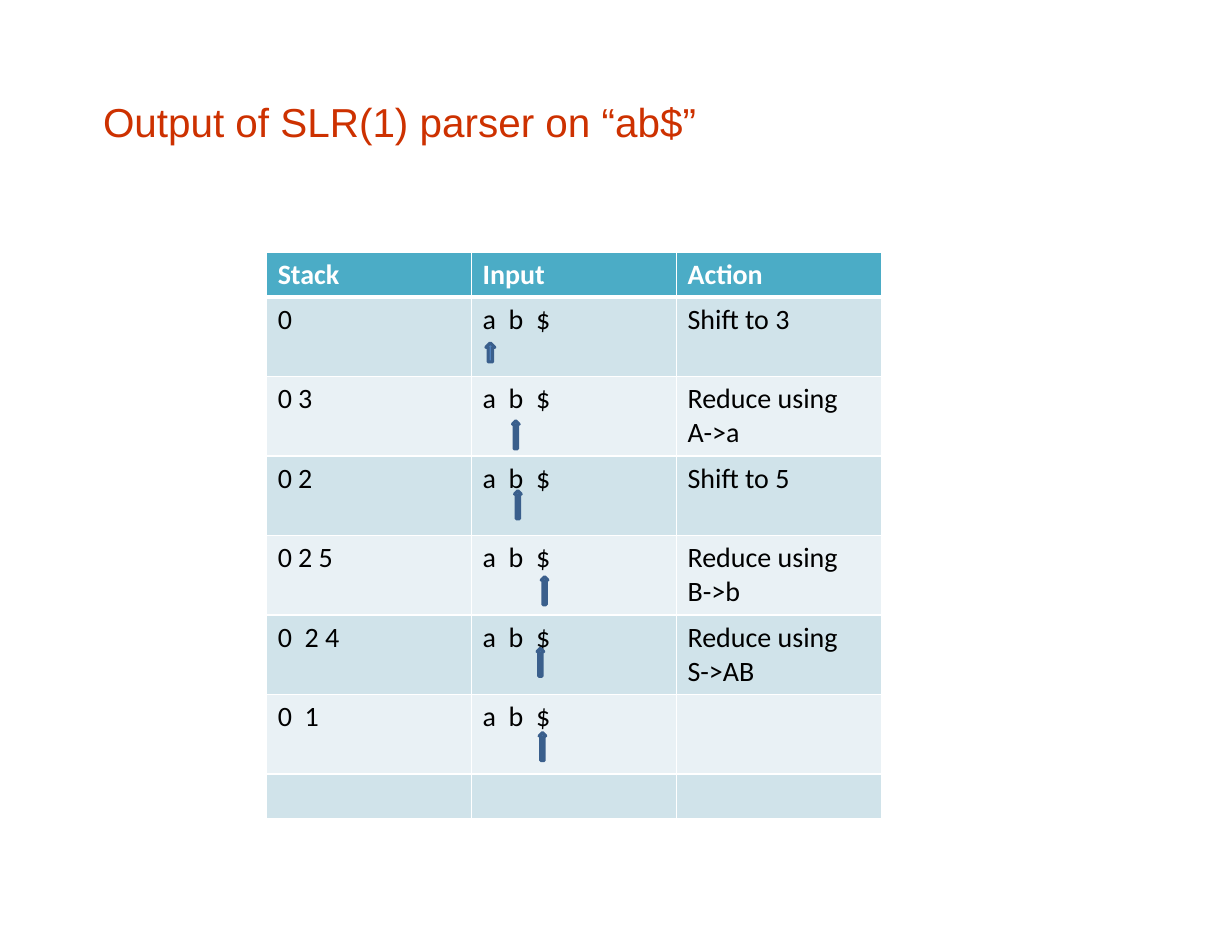
from lxml import etree
from pptx import Presentation, util as u
from pptx.dml.color import RGBColor
from pptx.enum import shapes, text
from pptx.oxml import ns

RED = RGBColor(0xCD, 0x31, 0x00)
TEAL = RGBColor(0x4B, 0xAC, 0xC6)
PALE = RGBColor(0xD0, 0xE3, 0xEA)
LIGHT = RGBColor(0xE9, 0xF1, 0xF5)
BLUE = RGBColor(0x4F, 0x81, 0xBD)
NAVY = RGBColor(0x3A, 0x5F, 0x8C)
WHITE = RGBColor(0xFF, 0xFF, 0xFF)
BLACK = RGBColor(0, 0, 0)

# Table grid: column width, height of a short and of a tall row
LEFT, TOP = u.Inches(2.38), u.Inches(2.25)
COL, LOW, TALL = u.Inches(1.83), u.Inches(0.4), u.Inches(0.71)

INPUT = "a  b  $"
ROWS = [
    ("Stack", "Input", "Action"),
    ("0", INPUT, "Shift to 3"),
    ("0 3", INPUT, "Reduce using \vA->a"),
    ("0 2", INPUT, "Shift to 5"),
    ("0 2 5", INPUT, "Reduce using \vB->b"),
    ("0  2 4", INPUT, "Reduce using\nS->AB"),
    ("0  1", INPUT, ""),
    ("", "", ""),
]
# Input pointer of each step, as shares of its cell's width and height
MARKS = [(0.07, 0.58), (0.2, 0.56), (0.21, 0.44),
         (0.34, 0.52), (0.32, 0.42), (0.33, 0.48)]


def style(frame, face, size, color, bold=False):
    for para in frame.paragraphs:
        for run in para.runs:
            font = run.font
            font.name, font.size, font.bold = face, u.Pt(size), bold
            font.color.rgb = color


def edge(cell, side, width):
    line = etree.SubElement(cell._tc.get_or_add_tcPr(), ns.qn("a:ln" + side),
                            w=str(u.Pt(width)))
    fill = etree.SubElement(line, ns.qn("a:solidFill"))
    etree.SubElement(fill, ns.qn("a:srgbClr"), val=str(WHITE))


deck = Presentation()
deck.slide_width, deck.slide_height = u.Inches(11), u.Inches(8.5)
slide = deck.slides.add_slide(deck.slide_layouts[6])

# Title
box = slide.shapes.add_textbox(u.Inches(0.92), u.Inches(0.86),
                               u.Inches(5.64), u.Inches(0.44))
frame = box.text_frame
frame.margin_left = frame.margin_right = 0
frame.margin_top = frame.margin_bottom = 0
frame.vertical_anchor = text.MSO_ANCHOR.MIDDLE
frame.text = "Output of SLR(1) parser on “ab$”"
style(frame, "Arial", 26, RED)

# Parse table
steps = len(MARKS)
table = slide.shapes.add_table(len(ROWS), 3, LEFT, TOP, 3 * COL,
                               2 * LOW + steps * TALL).table
for col in table.columns:
    col.width = COL
for r, words in enumerate(ROWS):
    head = r == 0
    table.rows[r].height = TALL if 1 <= r <= steps else LOW
    for c, word in enumerate(words):
        cell = table.cell(r, c)
        for side in "LRTB":
            thick = (head and side == "B") or (r == 1 and side == "T")
            edge(cell, side, 3 if thick else 1)
        cell.fill.solid()
        cell.fill.fore_color.rgb = TEAL if head else PALE if r % 2 else LIGHT
        cell.text_frame.text = word
        style(cell.text_frame, "Calibri", 18, WHITE if head else BLACK, head)

# Arrows under the current input symbol
for i, (x, y) in enumerate(MARKS):
    wide, high = (0.08, 0.17) if i == 0 else (0.06, 0.25)
    mark = slide.shapes.add_shape(
        shapes.MSO_SHAPE.UP_ARROW,
        int(LEFT + (1 + x) * COL), int(TOP + LOW + (i + y) * TALL),
        u.Inches(wide), u.Inches(high))
    mark.shadow.inherit = False
    mark.fill.solid()
    mark.fill.fore_color.rgb = BLUE
    mark.line.color.rgb = NAVY
    mark.line.width = u.Pt(2)

deck.save("out.pptx")
